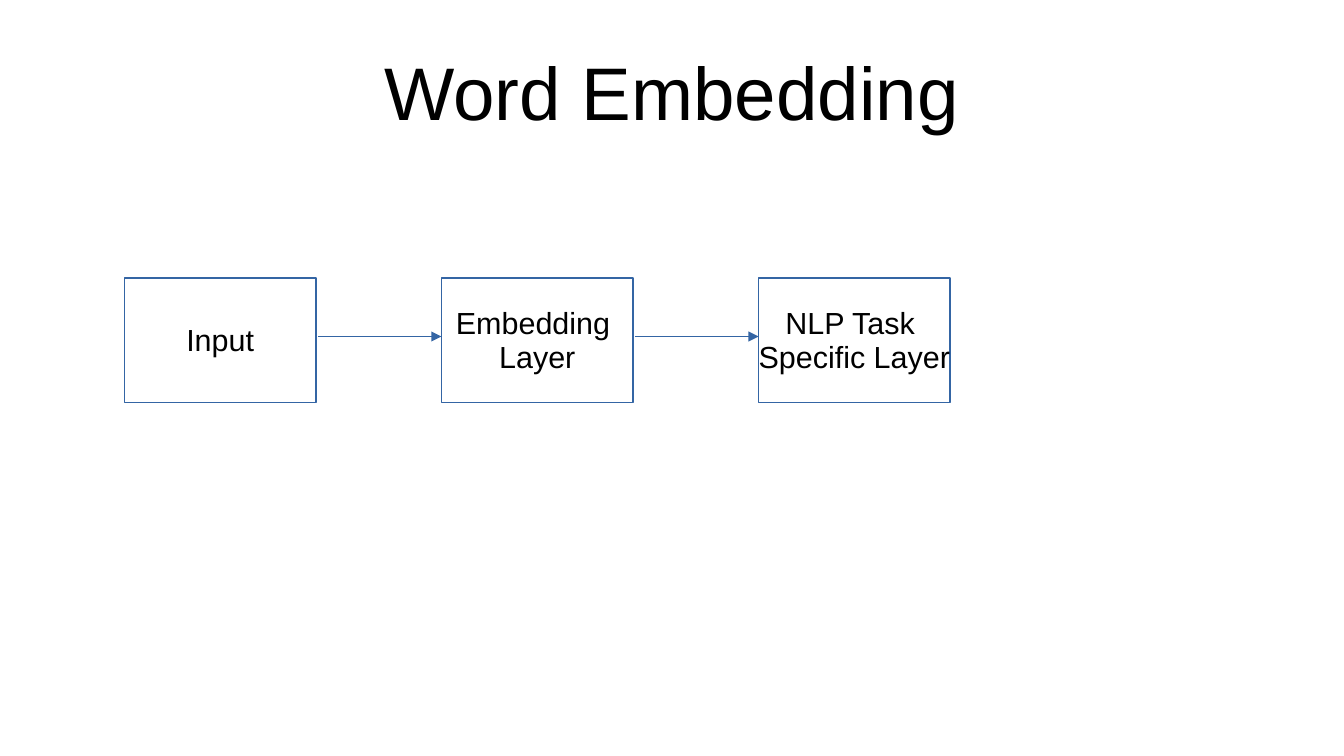
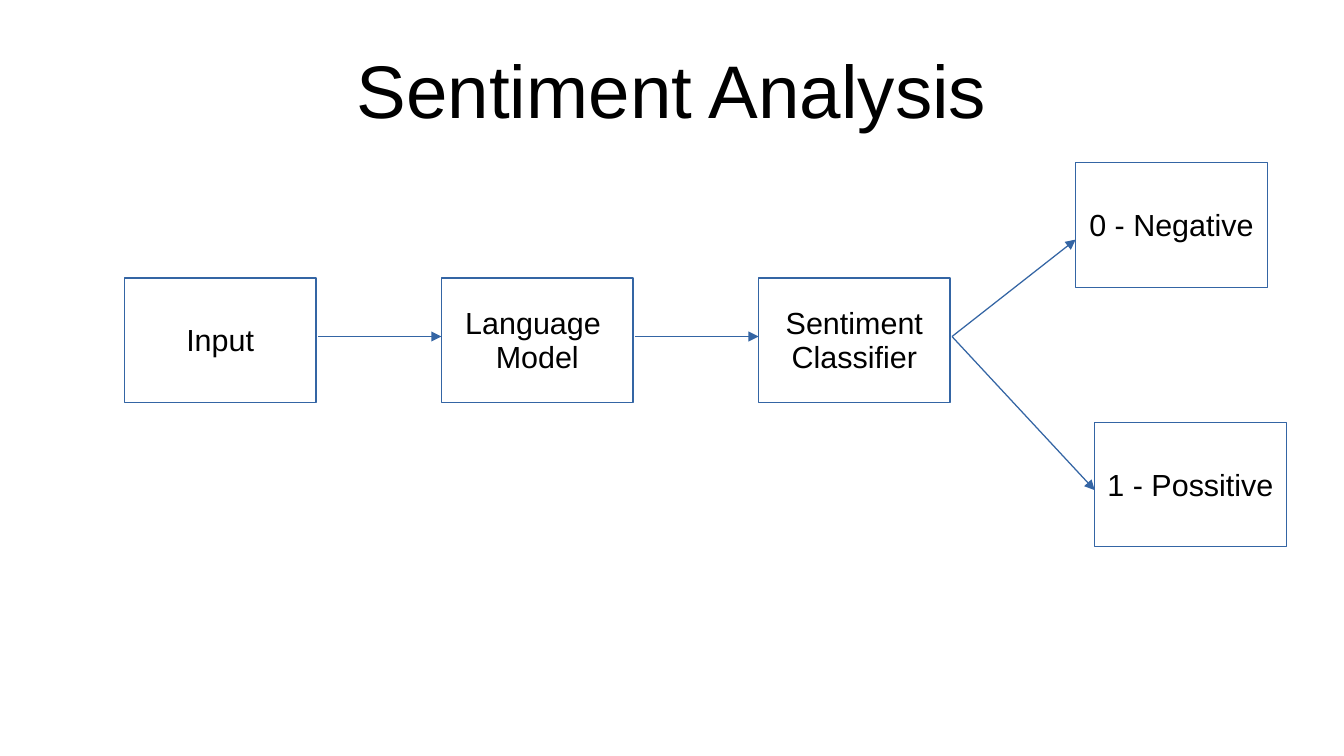
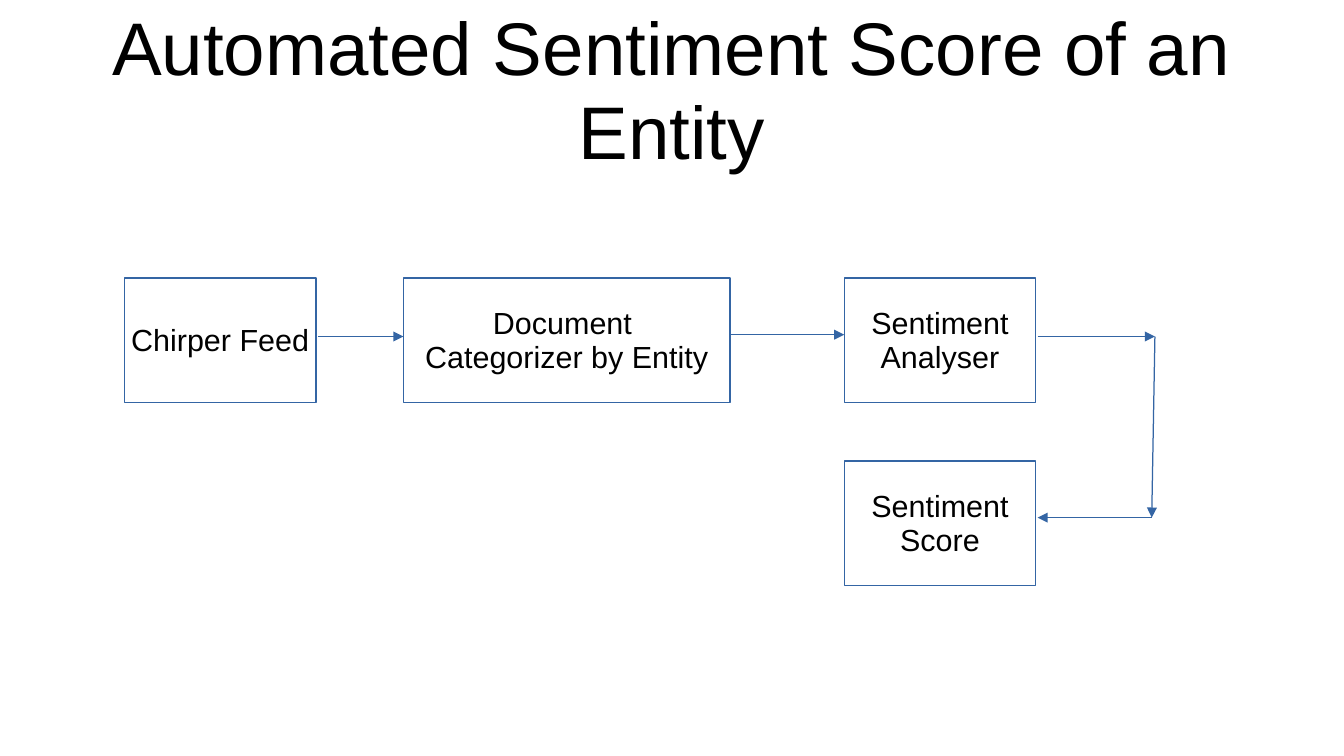
import pptx
import pptx.util
import pptx.dml.color
import pptx.enum.text
import pptx.enum.shapes
import pptx.oxml.ns
import lxml.etree

inch, pt = pptx.util.Inches, pptx.util.Pt
text = pptx.enum.text
hues = {"ink": "000000", "line": "3465A4"}
font = "Arial"
left, top = 1.02, 2.28
col, row = 2.6, 1.5
wide, high = 0.604, 0.68
port, mid = 0.61, 0.32

slides = [
    {
        "title": "Word Embedding", "at": (0.25, 1.03), "inset": 0.04,
        "boxes": [
            (0, 0, wide, "Input"),
            (1, 0, wide, "Embedding \nLayer"),
            (2, 0, wide, "NLP Task \nSpecific Layer"),
        ],
        "links": [(port, mid, 1, mid), (1 + port, mid, 2, mid)],
    },
    {
        "title": "Sentiment Analysis", "at": (0.25, 1.03), "inset": 0,
        "boxes": [
            (0, 0, wide, "Input"),
            (1, 0, wide, "Language \nModel"),
            (2, 0, wide, "Sentiment\nClassifier"),
            (3, -0.63, wide, "0 - Negative"),
            (3.06, 0.79, wide, "1 - Possitive"),
        ],
        "links": [
            (port, mid, 1, mid), (1 + port, mid, 2, mid),
            (2 + port, mid, 3, -0.21), (2 + port, mid, 3.06, 1.16),
        ],
    },
    {
        "title": "Automated Sentiment Score of an Entity",
        "at": (0.08, 1.36), "inset": 0,
        "boxes": [
            (0, 0, wide, "Chirper Feed"),
            (0.88, 0, 1.03, "Document \nCategorizer by Entity"),
            (2.27, 0, wide, "Sentiment\nAnalyser"),
            (2.27, 1, wide, "Sentiment\nScore"),
        ],
        "links": [
            (port, mid, 0.88, mid), (1.91, 0.31, 2.27, 0.31),
            (2.27 + port, mid, 3.25, mid), (3.25, mid, 3.24, 1.31),
            (3.24, 1.31, 2.27 + port, 1.31),
        ],
    },
]


def write(shape, words, size, insets):
    frame = shape.text_frame
    frame.text = words
    frame.auto_size = text.MSO_AUTO_SIZE.NONE
    frame.vertical_anchor = text.MSO_ANCHOR.MIDDLE
    (frame.margin_left, frame.margin_top,
     frame.margin_right, frame.margin_bottom) = map(inch, insets)
    for para in frame.paragraphs:
        para.alignment = text.PP_ALIGN.CENTER
        para.line_spacing = 0.93
        para.font.name = font
        para.font.size = pt(size)
        para.font.color.rgb = pptx.dml.color.RGBColor.from_string(hues["ink"])


def stroke(shape):
    shape.line.color.rgb = pptx.dml.color.RGBColor.from_string(hues["line"])
    shape.line.width = pt(0.75)


deck = pptx.Presentation()
deck.slide_width, deck.slide_height = inch(11.02), inch(6.2)

for plan in slides:
    slide = deck.slides.add_slide(deck.slide_layouts[5])
    title = slide.shapes.title
    title.left, title.width = inch(0.55), inch(9.92)
    title.top, title.height = map(inch, plan["at"])
    write(title, plan["title"], 44, (0, plan["inset"], 0, 0))

    for x, y, w, words in plan["boxes"]:
        box = slide.shapes.add_shape(
            pptx.enum.shapes.MSO_SHAPE.RECTANGLE,
            inch(left + x * col), inch(top + y * row),
            inch(w * col), inch(high * row))
        box.shadow.inherit = False
        box.fill.background()
        stroke(box)
        write(box, words, 18, (0.1, 0.07, 0.1, 0.05))
        box.text_frame.word_wrap = False

    for x, y, far, low in plan["links"]:
        link = slide.shapes.add_connector(
            pptx.enum.shapes.MSO_CONNECTOR.STRAIGHT,
            inch(left + x * col), inch(top + y * row),
            inch(left + far * col), inch(top + low * row))
        stroke(link)
        tip = lxml.etree.SubElement(
            link.line.get_or_add_ln() if hasattr(link.line, "get_or_add_ln")
            else link.get_or_add_ln(), pptx.oxml.ns.qn("a:tailEnd"))
        tip.set("type", "triangle")
        lxml.etree.SubElement(
            link.element.spPr, pptx.oxml.ns.qn("a:effectLst"))

deck.save("out.pptx")
